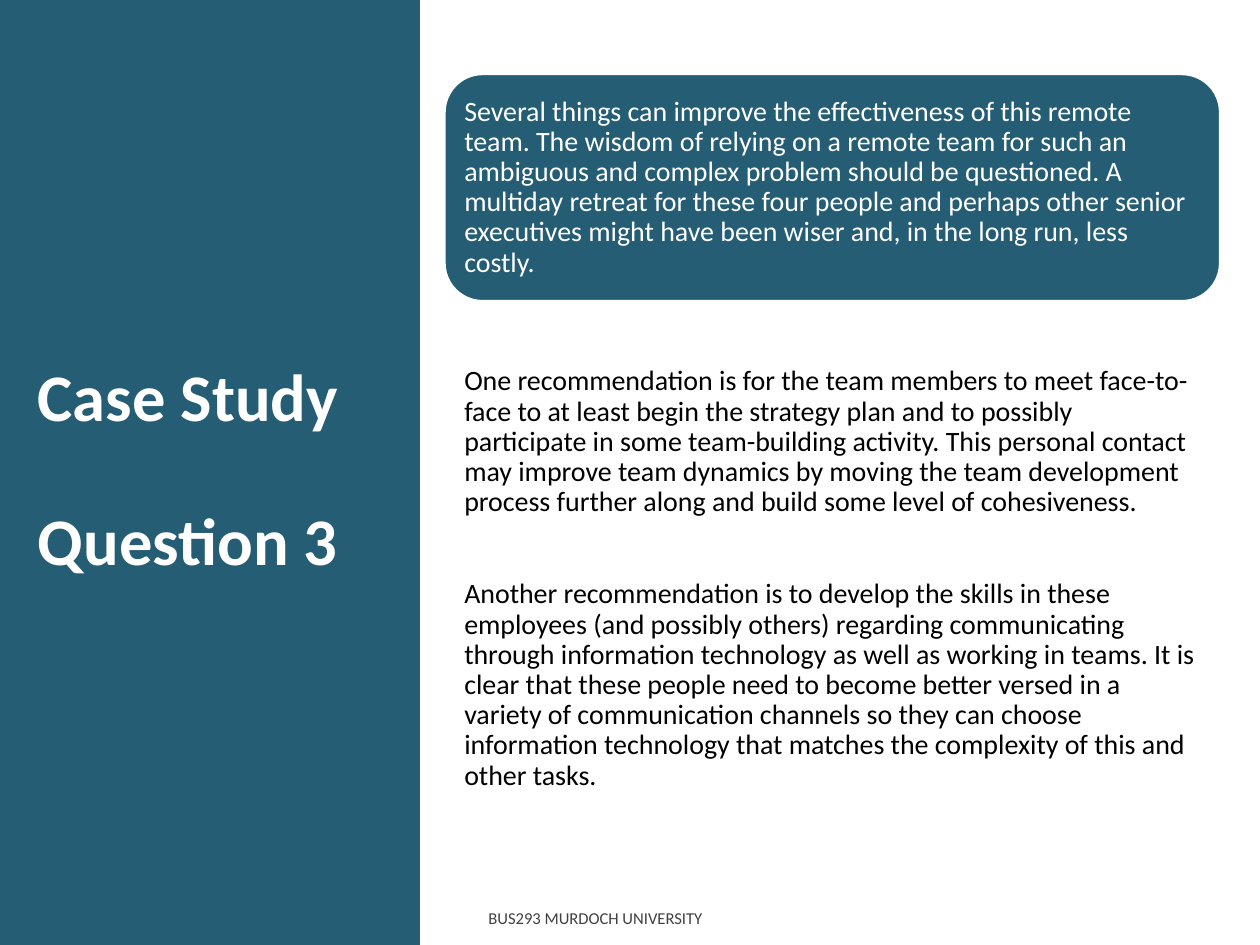
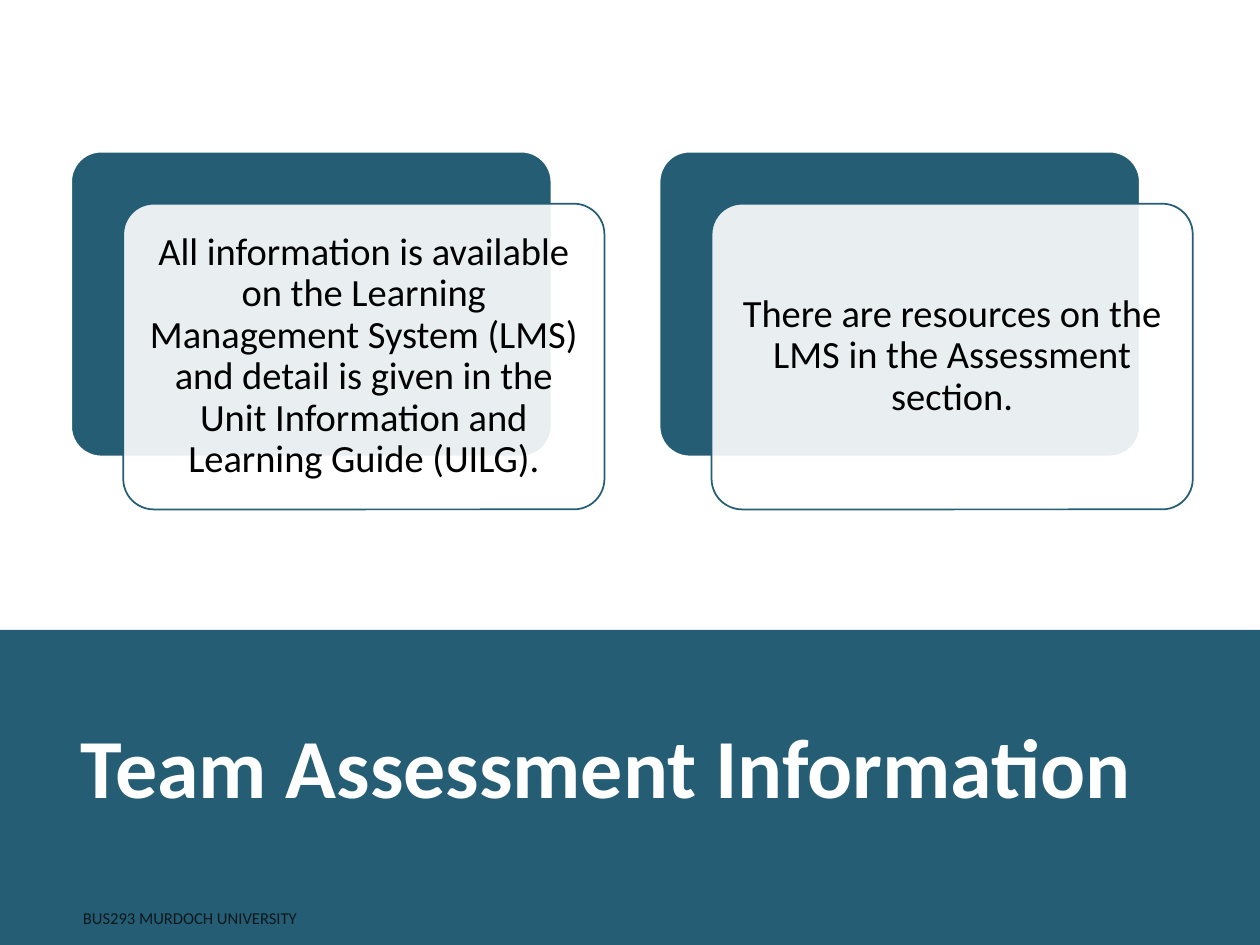
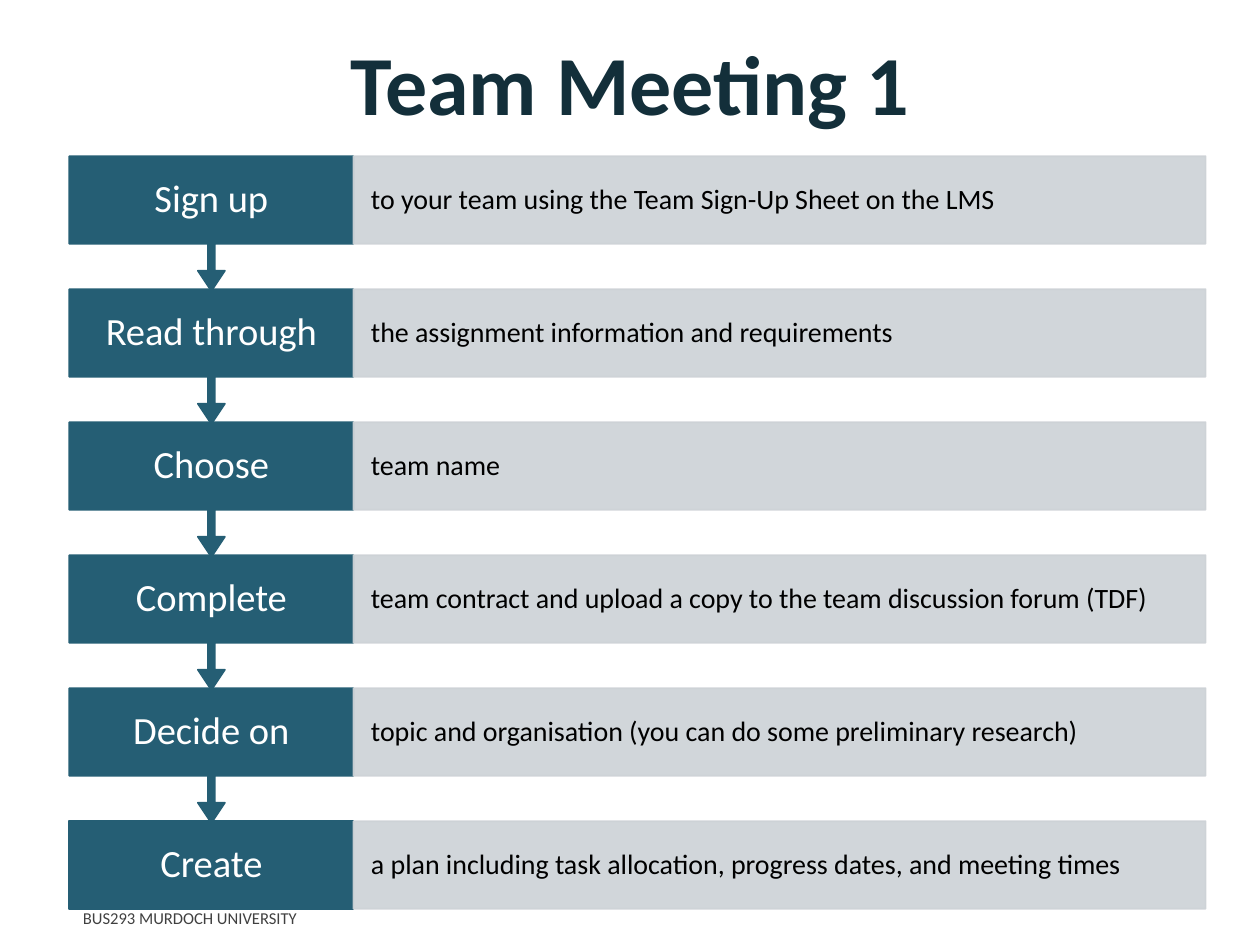
"""Builds three slides on a team case study, its assessment and the first meeting."""
import pptx
import pptx.dml.color
import pptx.enum.shapes
import pptx.enum.text
import pptx.oxml
import pptx.oxml.ns
import pptx.util
import lxml.etree

Pt = pptx.util.Pt
SHAPE = pptx.enum.shapes.MSO_SHAPE
LEFT = pptx.enum.text.PP_ALIGN.LEFT
CENTER = pptx.enum.text.PP_ALIGN.CENTER
TEAL, NAVY, GREY, WHITE, BLACK = "255E74", "132F3A", "CDD2D6", "FFFFFF", "000000"


def paint(fill, colour, opacity=100):
    """Give a fill, line fill or font fill a solid colour, or none."""
    if colour is None:
        fill.background()
        return
    fill.solid()
    fill.fore_color.rgb = pptx.dml.color.RGBColor.from_string(colour)
    if opacity < 100:
        solid = fill._xPr.find(pptx.oxml.ns.qn("a:solidFill"))
        alpha = lxml.etree.SubElement(solid[0], pptx.oxml.ns.qn("a:alpha"))
        alpha.set("val", str(opacity * 1000))


def write(shape, text, size, colour, align=LEFT, margins=(7.2, 3.6), bold=False, opacity=100):
    """Set and format the text of a shape, centred vertically."""
    frame = shape.text_frame
    frame.text = text
    frame.word_wrap = True
    frame.auto_size = pptx.enum.text.MSO_AUTO_SIZE.NONE
    frame.vertical_anchor = pptx.enum.text.MSO_ANCHOR.MIDDLE
    frame.margin_left = frame.margin_right = Pt(margins[0])
    frame.margin_top = frame.margin_bottom = Pt(margins[1])
    for paragraph in frame.paragraphs:
        paragraph.alignment = align
        paragraph.line_spacing = 0.9
        for run in paragraph.runs:
            run.font.name = "Calibri"
            run.font.size = Pt(size)
            run.font.bold = bold
            paint(run.font.fill, colour, opacity)


deck = pptx.Presentation()
deck.slide_width, deck.slide_height = Pt(720), Pt(540)

openings = [
    ("Case Study\nQuestion 3", 38, WHITE, LEFT, (14.4, 73.4, 201, 392.4), (0, 0, 240, 540), 272),
    ("Team Assessment Information", 48, WHITE, LEFT, (38.9, 375.8, 636.5, 130.3), (0, 360, 720, 180), 40.3),
    ("Team Meeting 1", 48, NAVY, CENTER, (41.8, 12.2, 636.5, 77), None, 40.3),
]
for heading, size, colour, align, heading_box, band_box, footer_left in openings:
    slide = deck.slides.add_slide(deck.slide_layouts[5])
    title = slide.shapes.title
    title.left, title.top, title.width, title.height = map(Pt, heading_box)
    write(title, heading, size, colour, align, bold=True)
    for later_line in title.text_frame.paragraphs[1:]:
        later_line.space_before = Pt(41)
    if band_box:
        band = slide.shapes.add_shape(SHAPE.RECTANGLE, *map(Pt, band_box))
        band.shadow.inherit = False
        paint(band.fill, TEAL)
        paint(band.line.fill, None)
        title.element.addprevious(band.element)
    footer = slide.shapes.add_textbox(Pt(footer_left), Pt(516.2), Pt(296.6), Pt(18))
    write(footer, "BUS293 MURDOCH UNIVERSITY", 9.5, BLACK, opacity=75)

case_study, assessment, meeting = deck.slides

answers = [
    (42.5, TEAL, WHITE, "Several things can improve the effectiveness of this remote team. The wisdom of relying on a remote team for such an ambiguous and complex problem should be questioned. A multiday retreat for these four people and perhaps other senior executives might have been wiser and, in the long run, less costly."),
    (188, None, BLACK, "One recommendation is for the team members to meet face-to-face to at least begin the strategy plan and to possibly participate in some team-building activity. This personal contact may improve team dynamics by moving the team development process further along and build some level of cohesiveness."),
    (327, None, BLACK, "Another recommendation is to develop the skills in these employees (and possibly others) regarding communicating through information technology as well as working in teams. It is clear that these people need to become better versed in a variety of communication channels so they can choose information technology that matches the complexity of this and other tasks."),
]
for top, panel_colour, text_colour, answer in answers:
    panel = case_study.shapes.add_shape(SHAPE.ROUNDED_RECTANGLE, Pt(254.2), Pt(top), Pt(442.8), Pt(129.4))
    panel.shadow.inherit = False
    paint(panel.fill, panel_colour)
    paint(panel.line.fill, WHITE)
    panel.line.width = Pt(1)
    write(panel, answer, 16, text_colour, margins=(4.8, 4.8))

notices = [
    "All information is available on the Learning Management System (LMS) and detail is given in the Unit Information and Learning Guide (UILG).",
    "There are resources on the LMS in the Assessment section.",
]
for column, notice in enumerate(notices):
    left = 40.4 + column * 336.2
    layers = [(0, TEAL, 100, WHITE, 1.5, ""), (30, WHITE, 90, TEAL, 1, notice)]
    for offset, card_colour, opacity, edge, edge_width, text in layers:
        card = assessment.shapes.add_shape(
            SHAPE.ROUNDED_RECTANGLE, Pt(left + offset), Pt(86.4 + offset), Pt(275), Pt(174.7))
        card.adjustments[0] = 0.1
        card.shadow.inherit = False
        paint(card.fill, card_colour, opacity)
        paint(card.line.fill, edge)
        card.line.width = Pt(edge_width)
        if text:
            write(card, text, 22, BLACK, CENTER, (6.6, 6.6))

steps = [
    ("Sign up", "to your team using the Team Sign-Up Sheet on the LMS"),
    ("Read through", "the assignment information and requirements"),
    ("Choose", "team name"),
    ("Complete", "team contract and upload a copy to the team discussion forum (TDF)"),
    ("Decide on", "topic and organisation (you can do some preliminary research)"),
    ("Create", "a plan including task allocation, progress dates, and meeting times"),
]
for row, (action, detail) in reversed(list(enumerate(steps))):
    top = Pt(89.3 + row * 76)
    if row == len(steps) - 1:
        step = meeting.shapes.add_shape(SHAPE.RECTANGLE, Pt(39.6), top, Pt(162.4), Pt(50))
    else:
        step = meeting.shapes.add_shape(SHAPE.DOWN_ARROW_CALLOUT, Pt(39.6), top, Pt(162.4), Pt(77))
        for index, ratio in enumerate((0.05, 0.1, 0.15, 0.65)):
            step.adjustments[index] = ratio
    bar = meeting.shapes.add_shape(SHAPE.RECTANGLE, Pt(202), top, Pt(487), Pt(50))
    for part, part_colour, opacity in ((step, TEAL, 100), (bar, GREY, 90)):
        part.shadow.inherit = False
        paint(part.fill, part_colour, opacity)
        paint(part.line.fill, part_colour, opacity)
        part.line.width = Pt(1)
    write(step, action, 22, WHITE, CENTER, (11.5, 12))
    write(bar, detail, 16, BLACK, margins=(10, 15.8))

deck.save("out.pptx")
